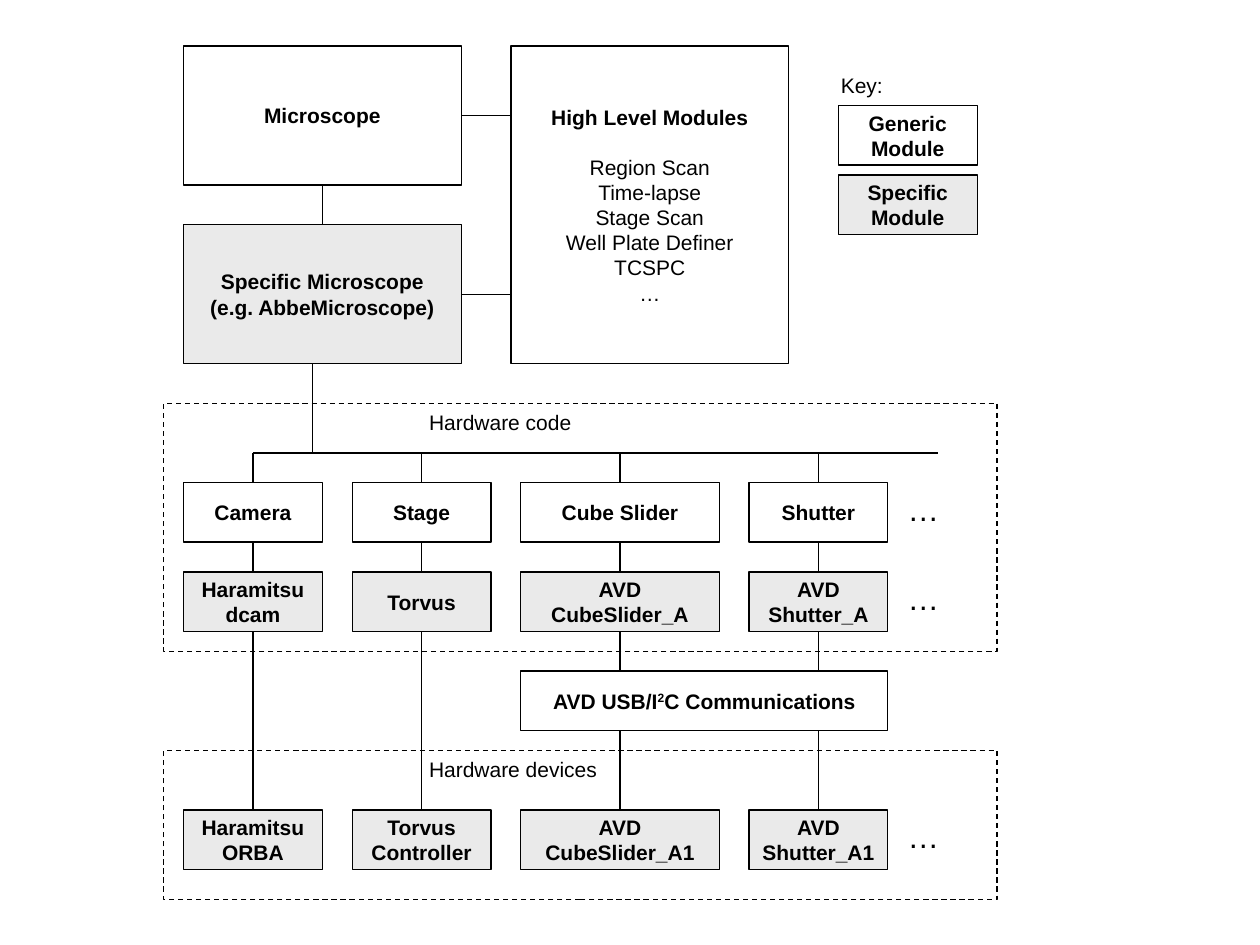
"""Builds a one-slide diagram of a modular microscope control program."""
from lxml.etree import SubElement
from pptx import Presentation
from pptx.dml.color import RGBColor
from pptx.enum.dml import MSO_LINE
from pptx.enum.shapes import MSO_CONNECTOR, MSO_SHAPE
from pptx.enum.text import MSO_ANCHOR, MSO_AUTO_SIZE, PP_ALIGN
from pptx.oxml.ns import qn
from pptx.util import Inches, Mm, Pt

COLORS = {"ink": "000000", "specific": "EAEAEA"}
UNIT = Mm(2)
ORIGIN_X, ORIGIN_Y = Mm(37), Mm(9.3)
BODY = {"name": "Arial", "size": Pt(12), "bold": False}
STRONG = {**BODY, "bold": True}
LARGE = {**BODY, "size": Pt(18)}

BOX_HEIGHT, COLUMN_GAP = 6, 3
BUS, GENERIC, SPECIFIC, COMMUNICATIONS, DEVICE = 41, 44, 53, 63, 77
COLUMNS = [
    (14, "Camera", ["Haramitsu", "dcam"], ["Haramitsu", "ORBA"]),
    (14, "Stage", ["Torvus"], ["Torvus", "Controller"]),
    (20, "Cube Slider", ["AVD", "CubeSlider_A"], ["AVD", "CubeSlider_A1"]),
    (14, "Shutter", ["AVD", "Shutter_A"], ["AVD", "Shutter_A1"]),
]
HIGH_LEVEL = ["Region Scan", "Time-lapse", "Stage Scan", "Well Plate Definer", "TCSPC", "…"]


def grid(column, row):
    """Return the slide position of a grid point."""
    return ORIGIN_X + round(column * UNIT), ORIGIN_Y + round(row * UNIT)


def place(column, row, columns, rows):
    """Return left, top, width and height of a grid area."""
    return *grid(column, row), round(columns * UNIT), round(rows * UNIT)


def color(name):
    """Return a named colour."""
    return RGBColor.from_string(COLORS[name])


def add_run(paragraph, text, style):
    """Add a formatted run to a paragraph."""
    run = paragraph.add_run()
    run.text = text
    for attribute, value in style.items():
        setattr(run.font, attribute, value)
    run.font.color.rgb = color("ink")
    return run


def write_lines(shape, lines, style=STRONG):
    """Add centred lines after any text already in the shape."""
    frame = shape.text_frame
    for line in lines:
        first = frame.paragraphs[0]
        paragraph = frame.add_paragraph() if first.runs else first
        paragraph.alignment = PP_ALIGN.CENTER
        add_run(paragraph, line, style)


def add_rectangle(slide, area, fill=None, dash=None):
    """Add an outlined rectangle, hollow unless a fill is named."""
    shape = slide.shapes.add_shape(MSO_SHAPE.RECTANGLE, *place(*area))
    shape.shadow.inherit = False
    if fill:
        shape.fill.solid()
        shape.fill.fore_color.rgb = color(fill)
    else:
        shape.fill.background()
    shape.line.color.rgb = color("ink")
    shape.line.width = Pt(0.75)
    if dash:
        shape.line.dash_style = dash
    shape.text_frame.word_wrap = False
    shape.text_frame.vertical_anchor = MSO_ANCHOR.MIDDLE
    return shape


def add_module(slide, area, lines, fill=None):
    """Add a module box with bold text."""
    shape = add_rectangle(slide, area, fill)
    write_lines(shape, lines)
    return shape


def add_label(slide, area, text, style=BODY):
    """Add a free-standing line of text."""
    frame = slide.shapes.add_textbox(*place(*area)).text_frame
    frame.word_wrap = False
    frame.auto_size = MSO_AUTO_SIZE.SHAPE_TO_FIT_TEXT
    add_run(frame.paragraphs[0], text, style)


def add_line(slide, start, end):
    """Add a straight line between two grid points."""
    line = slide.shapes.add_connector(MSO_CONNECTOR.STRAIGHT, *grid(*start), *grid(*end))
    line.line.color.rgb = color("ink")
    line.line.width = Pt(0.75)
    SubElement(line.element.spPr, qn("a:effectLst"))


def add_overview(slide):
    """Add the microscope modules and the high level modules."""
    add_module(slide, (0, 0, 28, 14), ["Microscope"])
    add_module(slide, (0, 18, 28, 14), ["Specific Microscope", "(e.g. AbbeMicroscope)"], "specific")
    modules = add_module(slide, (33, 0, 28, 32), ["High Level Modules"])
    write_lines(modules, HIGH_LEVEL, BODY)
    modules.text_frame.paragraphs[1].space_before = Pt(14)
    add_line(slide, (14, 14), (14, 18))
    for row in (7, 25):
        add_line(slide, (28, row), (33, row))


def add_key(slide):
    """Add the key to the two kinds of module."""
    add_label(slide, (65, 2, 7, 3.8), "Key:")
    add_module(slide, (66, 6, 14, BOX_HEIGHT), ["Generic", "Module"])
    add_module(slide, (66, 13, 14, BOX_HEIGHT), ["Specific", "Module"], "specific")


def add_communications(slide):
    """Add the communications box shared by the last two columns."""
    shape = add_module(slide, (34, COMMUNICATIONS, 37, BOX_HEIGHT), ["AVD USB/I"])
    paragraph = shape.text_frame.paragraphs[0]
    superscript = add_run(paragraph, "2", STRONG)
    superscript.font._element.set("baseline", "30000")
    add_run(paragraph, "C Communications", STRONG)


def add_hardware(slide):
    """Add the hardware columns, their frames and their links."""
    for row, rows, width, title in ((36, 25, 17.2, "Hardware code"), (71, 15, 19.8, "Hardware devices")):
        add_rectangle(slide, (-2, row, 84, rows), dash=MSO_LINE.DASH)
        add_label(slide, (23.5, row, width, 3.8), title)
    add_line(slide, (13, 32), (13, BUS))
    add_line(slide, (7, BUS), (76, BUS))
    add_communications(slide)

    left = 0
    for index, (width, generic, specific, device) in enumerate(COLUMNS):
        center = left + width / 2
        add_module(slide, (left, GENERIC, width, BOX_HEIGHT), [generic])
        add_module(slide, (left, SPECIFIC, width, BOX_HEIGHT), specific, "specific")
        add_module(slide, (left, DEVICE, width, BOX_HEIGHT), device, "specific")
        stops = [SPECIFIC, DEVICE] if index < 2 else [SPECIFIC, COMMUNICATIONS, DEVICE]
        add_line(slide, (center, BUS), (center, GENERIC))
        for above, below in zip([GENERIC, *stops], stops):
            add_line(slide, (center, above + BOX_HEIGHT), (center, below))
        left += width + COLUMN_GAP

    for row in (GENERIC, SPECIFIC, DEVICE):
        add_label(slide, (71.75, row + 0.1, 5.7, 5.1), "…", LARGE)


def main():
    """Build and save the presentation."""
    presentation = Presentation()
    presentation.slide_width, presentation.slide_height = Inches(10), Inches(7.5)
    slide = presentation.slides.add_slide(presentation.slide_layouts[6])
    add_overview(slide)
    add_key(slide)
    add_hardware(slide)
    presentation.save("out.pptx")


if __name__ == "__main__":
    main()
